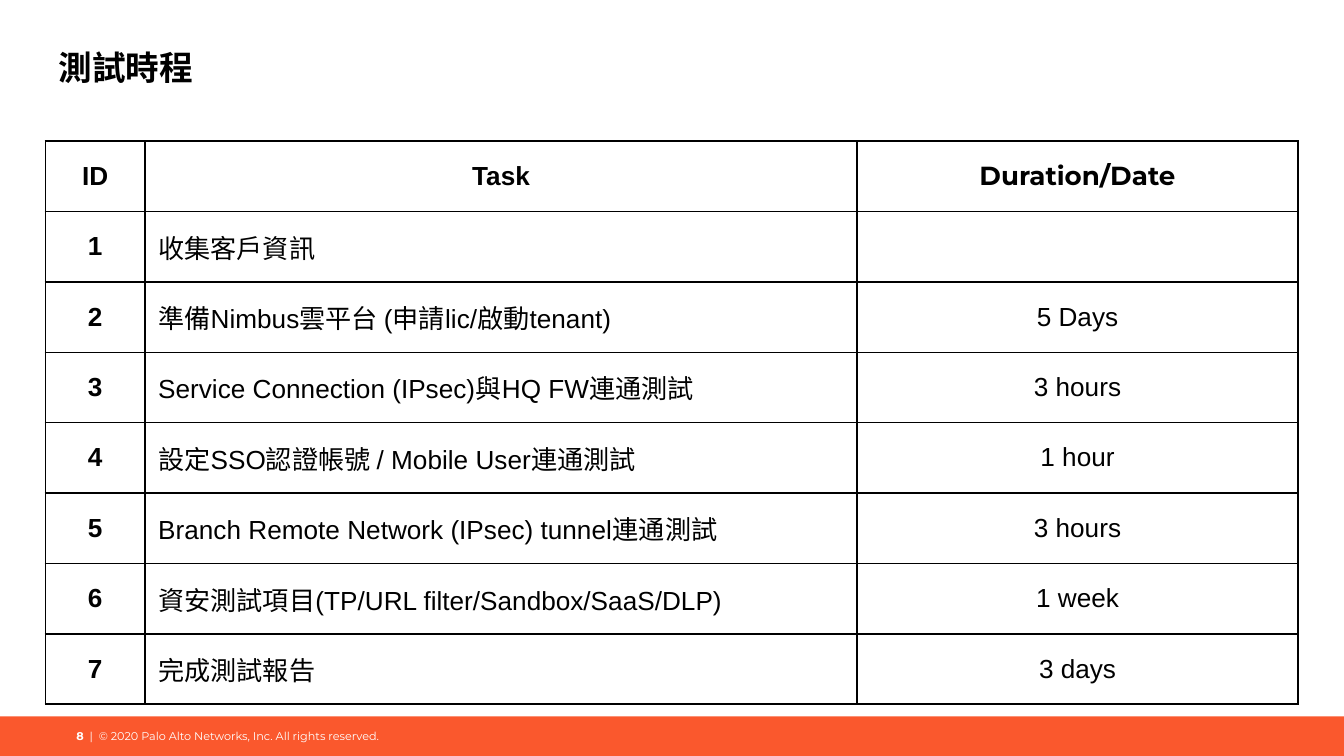
from lxml import etree
from pptx import Presentation
from pptx.dml.color import RGBColor
from pptx.enum.shapes import MSO_SHAPE
from pptx.enum.text import MSO_ANCHOR, PP_ALIGN
from pptx.oxml.ns import qn
from pptx.util import Cm, Pt

RECTANGLE = MSO_SHAPE.RECTANGLE
TOP, MIDDLE = MSO_ANCHOR.TOP, MSO_ANCHOR.MIDDLE
LEFT, CENTER, RIGHT = PP_ALIGN.LEFT, PP_ALIGN.CENTER, PP_ALIGN.RIGHT

COLORS = {"orange": "FA582D", "white": "FFFFFF", "black": "000000"}
HEADING_FONT, BODY_FONT = "Montserrat", "Arial"
MARGIN, CONTENT_WIDTH = Cm(0.86), Cm(23.67)
FOOTER_TOP, FOOTER_HEIGHT = Cm(13.54), Cm(0.75)
COLUMN_WIDTHS = [Cm(1.88), Cm(13.46), Cm(8.33)]
ROW_HEIGHT = Cm(1.33)

HEADERS = ("ID", "Task", "Duration/Date")
TASKS = [
    ("收集客戶資訊", ""),
    ("準備Nimbus雲平台 (申請lic/啟動tenant)", "5 Days"),
    ("Service Connection (IPsec)與HQ FW連通測試", "3 hours"),
    ("設定SSO認證帳號 / Mobile User連通測試", "1 hour"),
    ("Branch Remote Network (IPsec) tunnel連通測試", "3 hours"),
    ("資安測試項目(TP/URL filter/Sandbox/SaaS/DLP)", "1 week"),
    ("完成測試報告", "3 days"),
]


def color(name):
    """Return the named colour."""
    return RGBColor.from_string(COLORS[name])


def add_span(para, text, size, font, tone="black", bold=False):
    """Append one formatted run to a paragraph."""
    span = para.add_run()
    span.text = text
    span.font.size = Pt(size)
    span.font.name = font
    span.font.bold = bold
    span.font.color.rgb = color(tone)


def add_text_box(page, left, top, width, height, anchor, align):
    """Add a wrapping text box and return its first paragraph."""
    frame = page.shapes.add_textbox(left, top, width, height).text_frame
    frame.word_wrap = True
    frame.vertical_anchor = anchor
    frame.margin_left = frame.margin_right = Cm(0.25)
    frame.margin_top = frame.margin_bottom = Cm(0.25)
    para = frame.paragraphs[0]
    para.alignment = align
    return para


def add_footer(page, width):
    """Draw the footer bar with page number and copyright line."""
    bar = page.shapes.add_shape(RECTANGLE, 0, FOOTER_TOP, width, FOOTER_HEIGHT)
    bar.shadow.inherit = False
    bar.fill.solid()
    bar.fill.fore_color.rgb = color("orange")
    bar.line.fill.background()
    para = add_text_box(page, MARGIN, FOOTER_TOP, Cm(6.55), FOOTER_HEIGHT, MIDDLE, RIGHT)
    add_span(para, "8", 6, HEADING_FONT, "white", True)
    add_span(para, "  |  © 2020 Palo Alto Networks, Inc. All rights reserved.",
             6, HEADING_FONT, "white")


def add_borders(cell):
    """Give a cell a thin black line on each side."""
    properties = cell._tc.get_or_add_tcPr()
    for side in ("a:lnL", "a:lnR", "a:lnT", "a:lnB"):
        line = etree.SubElement(properties, qn(side), w=str(Pt(1)))
        fill = etree.SubElement(line, qn("a:solidFill"))
        etree.SubElement(fill, qn("a:srgbClr"), val=COLORS["black"])


def fill_cell(cell, text, font, align, bold, narrow):
    """Style one table cell and write its text."""
    add_borders(cell)
    cell.fill.solid()
    cell.fill.fore_color.rgb = color("white")
    cell.vertical_anchor = MIDDLE
    cell.margin_left = cell.margin_right = Cm(0.13 if narrow else 0.25)
    cell.margin_top = cell.margin_bottom = Cm(0 if narrow else 0.13)
    para = cell.text_frame.paragraphs[0]
    para.alignment = align
    if text:
        add_span(para, text, 14, font, bold=bold)


def add_schedule(page):
    """Build the task table."""
    rows = [HEADERS] + [(str(number), *task) for number, task in enumerate(TASKS, 1)]
    table = page.shapes.add_table(len(rows), len(HEADERS), MARGIN, Cm(2.67),
                                  CONTENT_WIDTH, ROW_HEIGHT * len(rows)).table
    for column, width in zip(table.columns, COLUMN_WIDTHS):
        column.width = width
    for r, values in enumerate(rows):
        table.rows[r].height = ROW_HEIGHT
        for c, text in enumerate(values):
            font = HEADING_FONT if (r, c) in ((0, 2), (1, 1)) else BODY_FONT
            align = LEFT if r > 0 and c == 1 else CENTER
            fill_cell(table.cell(r, c), text, font, align, r == 0 or c == 0, c == 2)


def main():
    """Build and save the deck."""
    deck = Presentation()
    deck.slide_width, deck.slide_height = Cm(25.4), Cm(14.29)
    page = deck.slides.add_slide(deck.slide_layouts[6])
    add_footer(page, deck.slide_width)
    title = add_text_box(page, MARGIN, Cm(0.64), CONTENT_WIDTH, Cm(1.6), TOP, LEFT)
    add_span(title, "測試時程", 18, HEADING_FONT, bold=True)
    add_schedule(page)
    deck.save("out.pptx")


if __name__ == "__main__":
    main()
